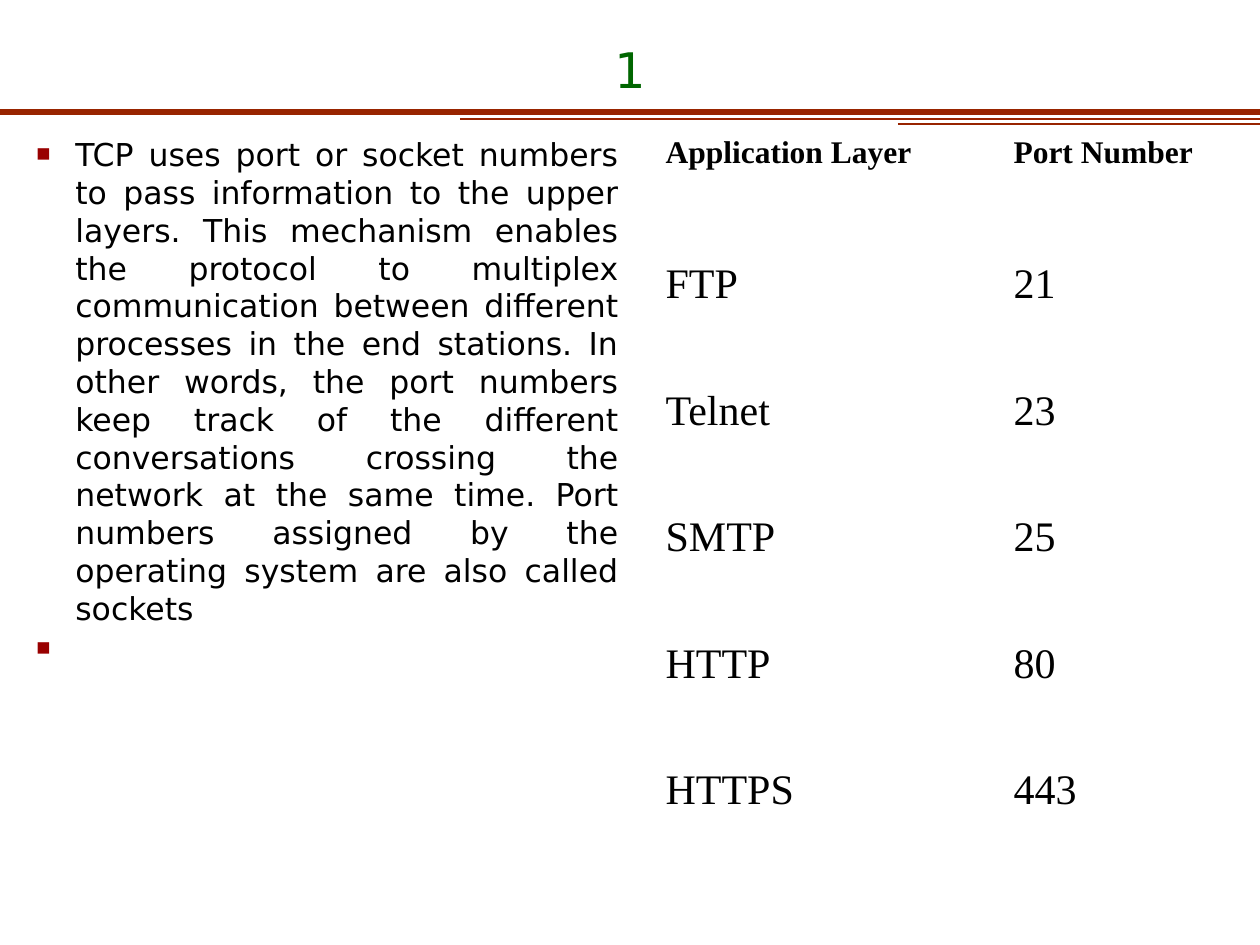
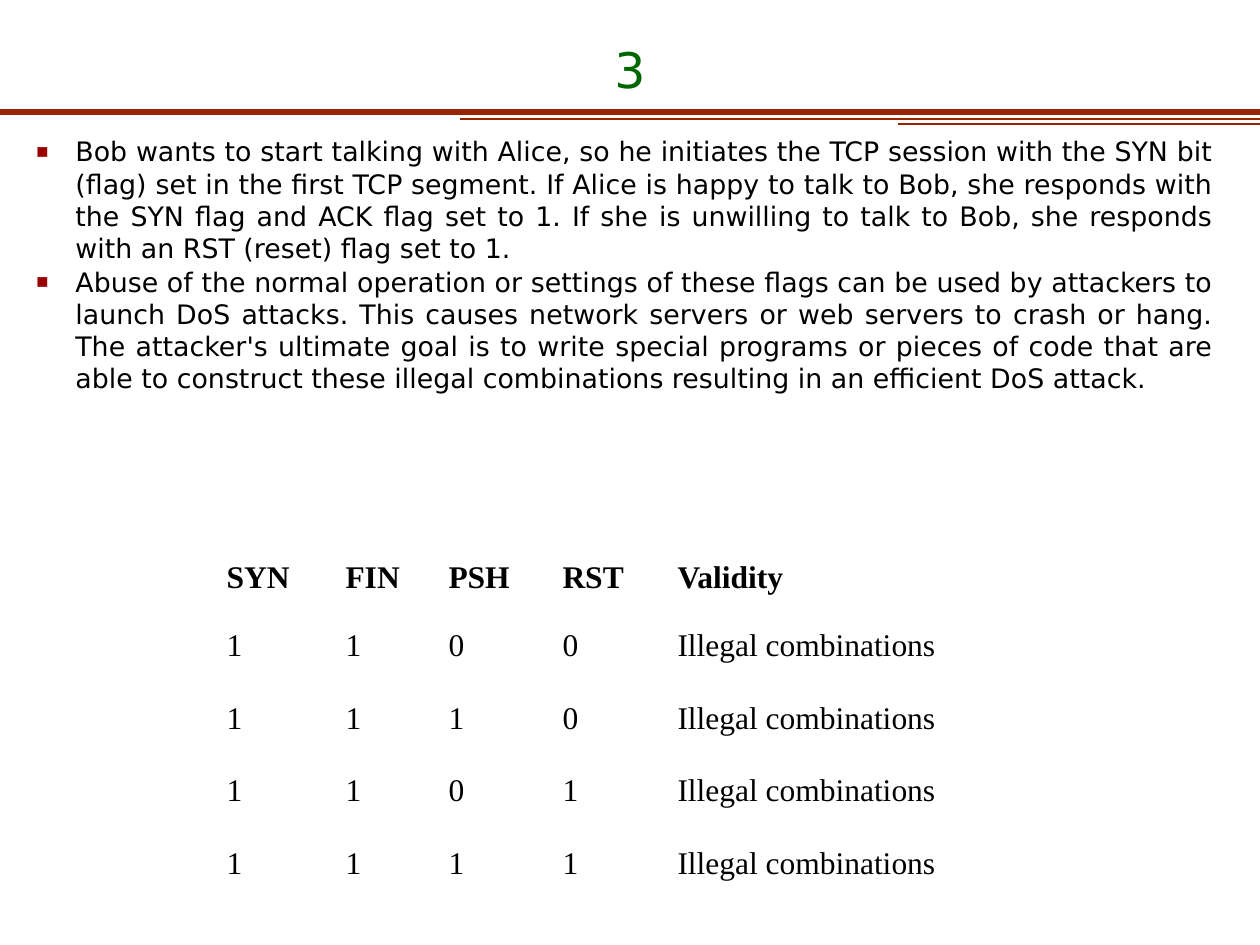
"""Build two slides on TCP port numbers and illegal TCP flag combinations."""
from lxml import etree
from pptx import Presentation
from pptx.dml.color import RGBColor
from pptx.enum.shapes import MSO_CONNECTOR
from pptx.enum.text import MSO_ANCHOR, PP_ALIGN
from pptx.oxml.ns import qn
from pptx.util import Emu, Pt

STRAIGHT = MSO_CONNECTOR.STRAIGHT
TOP, BOTTOM = MSO_ANCHOR.TOP, MSO_ANCHOR.BOTTOM
CENTER, JUSTIFY = PP_ALIGN.CENTER, PP_ALIGN.JUSTIFY

GREEN = RGBColor(0x00, 0x66, 0x00)
BLACK = RGBColor(0x00, 0x00, 0x00)
RUST = RGBColor(0x98, 0x24, 0x00)
BULLET_RED = RGBColor(0x99, 0x00, 0x00)

SCALE = 914400 / 126
SLIDE_WIDTH, SLIDE_HEIGHT = 1260, 945
INDENT = 39
SANS, SERIF = "DejaVu Sans", "Times New Roman"

TITLE_FORMAT = {"name": SANS, "size": Pt(28)}
HEADER_FORMAT = {"name": SERIF, "size": Pt(18), "bold": True}
RULES = [(0, 112, 3), (460, 119, 0.75), (898, 124, 0.75)]
BULLET = [
    ("a:buClr", {}),
    ("a:buSzPct", {"val": "75000"}),
    ("a:buFont", {"typeface": SERIF}),
    ("a:buChar", {"char": "■"}),
]

SLIDES = [
    {
        "title": "1",
        "body_box": (24, 129, 607, 759),
        "body_size": 18,
        "bullets": [
            "TCP uses port or socket numbers to pass information to the upper layers. "
            "This mechanism enables the protocol to multiplex communication between "
            "different processes in the end stations. In other words, the port numbers "
            "keep track of the different conversations crossing the network at the same "
            "time. Port numbers assigned by the operating system are also called sockets",
            " ",
        ],
        "table_at": (653, 129),
        "columns": [348, 260],
        "rows": [126, 127] * 3,
        "cell_size": 24,
        "cells": [
            ("Application Layer", "Port Number"),
            ("FTP", "21"),
            ("Telnet", "23"),
            ("SMTP", "25"),
            ("HTTP", "80"),
            ("HTTPS", "443"),
        ],
    },
    {
        "title": "3",
        "body_box": (24, 129, 1202, 295),
        "body_size": 15.3,
        "bullets": [
            "Bob wants to start talking with Alice, so he initiates the TCP session with "
            "the SYN bit (flag) set in the first TCP segment. If Alice is happy to talk to "
            "Bob, she responds with the SYN flag and ACK flag set to 1. If she is unwilling "
            "to talk to Bob, she responds with an RST (reset) flag set to 1.",
            "Abuse of the normal operation or settings of these flags can be used by "
            "attackers to launch DoS attacks. This causes network servers or web servers "
            "to crash or hang. The attacker's ultimate goal is to write special programs "
            "or pieces of code that are able to construct these illegal combinations "
            "resulting in an efficient DoS attack.",
        ],
        "table_at": (214, 554),
        "columns": [119, 103, 114, 115, 394],
        "rows": [68, 73, 72, 73, 73],
        "cell_size": 18,
        "cells": [("SYN", "FIN", "PSH", "RST", "Validity")]
        + [
            ("1", "1", push, reset, "Illegal combinations")
            for push, reset in ("00", "10", "01", "11")
        ],
    },
]


def px(*lengths):
    return [Emu(round(length * SCALE)) for length in lengths]


def write(para, text, color, values):
    span = para.add_run()
    span.text = text
    span.font.color.rgb = color
    for name, value in values.items():
        setattr(span.font, name, value)


deck = Presentation()
deck.slide_width, deck.slide_height = px(SLIDE_WIDTH, SLIDE_HEIGHT)

for content in SLIDES:
    page = deck.slides.add_slide(deck.slide_layouts[6])

    for left, top, weight in RULES:
        rule = page.shapes.add_connector(STRAIGHT, *px(left, top, SLIDE_WIDTH, top))
        rule.line.color.rgb = RUST
        rule.line.width = Pt(weight)
        etree.SubElement(rule._element.spPr, qn("a:effectLst"))

    title = page.shapes.add_textbox(*px(0, 32, SLIDE_WIDTH, 73)).text_frame
    title.word_wrap = True
    title.vertical_anchor = BOTTOM
    title.paragraphs[0].alignment = CENTER
    write(title.paragraphs[0], content["title"], GREEN, TITLE_FORMAT)

    body = page.shapes.add_textbox(*px(*content["body_box"])).text_frame
    body.word_wrap = True
    body.vertical_anchor = TOP
    body_format = {"name": SANS, "size": Pt(content["body_size"])}
    for index, text in enumerate(content["bullets"]):
        para = body.add_paragraph() if index else body.paragraphs[0]
        para.alignment = JUSTIFY
        if index:
            para.space_before = Pt(1.1)
        properties = para._p.get_or_add_pPr()
        indent, = px(INDENT)
        properties.set("marL", str(indent))
        properties.set("indent", str(-indent))
        for tag, attributes in BULLET:
            mark = etree.SubElement(properties, qn(tag), attributes)
            if tag == "a:buClr":
                etree.SubElement(mark, qn("a:srgbClr"), {"val": str(BULLET_RED)})
        write(para, text, BLACK, body_format)

    columns, rows = content["columns"], content["rows"]
    frame = page.shapes.add_table(
        len(rows), len(columns), *px(*content["table_at"], sum(columns), sum(rows))
    )
    table = frame.table
    table.first_row = table.horz_banding = False
    for column, width in zip(table.columns, px(*columns)):
        column.width = width
    for row, height in zip(table.rows, px(*rows)):
        row.height = height
    cell_format = {"name": SERIF, "size": Pt(content["cell_size"]), "bold": False}
    for row_index, texts in enumerate(content["cells"]):
        for column_index, text in enumerate(texts):
            cell = table.cell(row_index, column_index)
            cell.fill.background()
            values = cell_format if row_index else HEADER_FORMAT
            write(cell.text_frame.paragraphs[0], text, BLACK, values)

deck.save("out.pptx")
